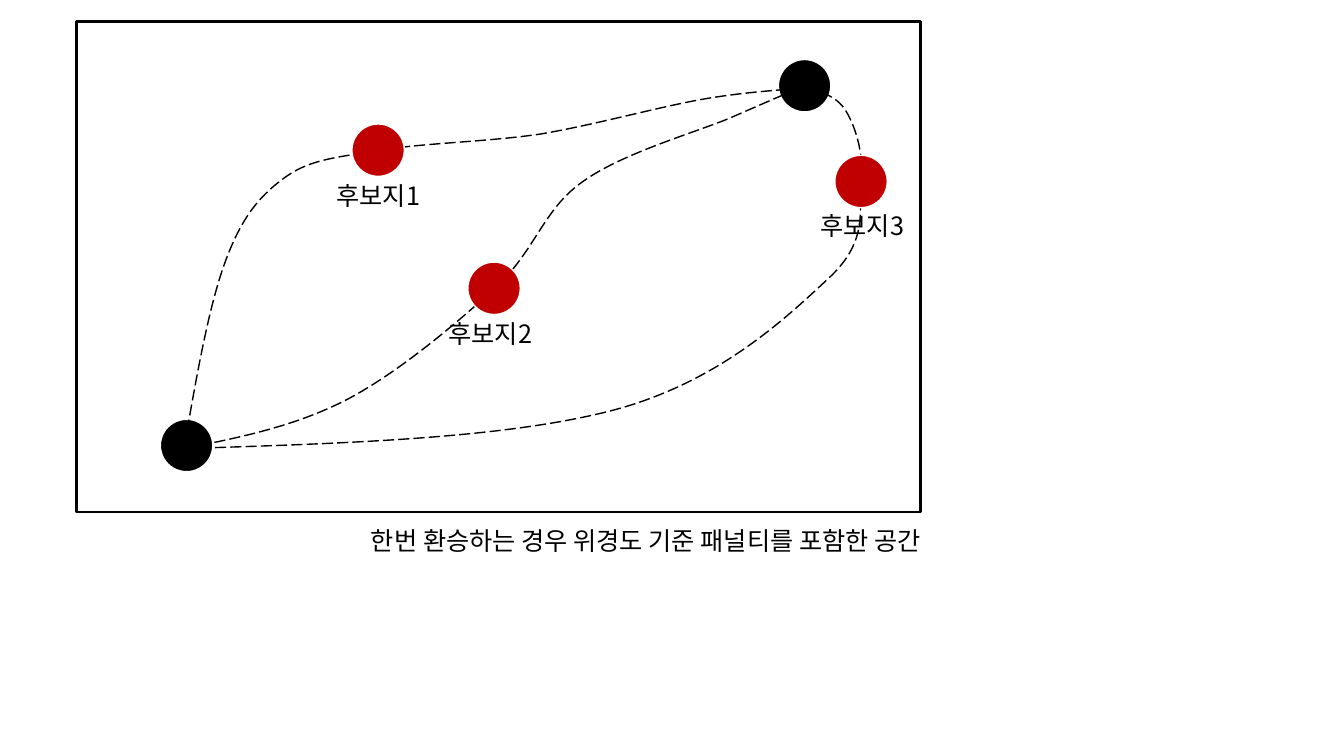
from dataclasses import dataclass

from lxml.etree import SubElement
from pptx import Presentation
from pptx.dml.color import RGBColor
from pptx.enum.dml import MSO_LINE_DASH_STYLE as Dash
from pptx.enum.shapes import MSO_SHAPE as Preset
from pptx.enum.text import MSO_AUTO_SIZE as AutoSize, PP_ALIGN as Align
from pptx.oxml.ns import qn
from pptx.shapes.autoshape import Shape
from pptx.slide import Slide
from pptx.util import Inches, Pt

FONT = "Noto Sans CJK KR"
BLACK, WHITE, RED = "000000", "FFFFFF", "C00000"
STOP_SIZE = 0.52

Point = tuple[float, float]


@dataclass(frozen=True)
class Candidate:
    """A transfer site: its label, its marker and the route through it.

    The route is a start point followed by three points per Bézier curve.
    """
    label: str
    label_at: Point
    marker_at: Point
    route: tuple[Point, ...]


ENDPOINTS: list[Point] = [(1.59, 4.16), (7.72, 0.59)]

CANDIDATES = [
    Candidate("후보지1", (3.24, 1.74), (3.49, 1.23), (
        (1.83, 4.42),
        (1.95, 3.73), (2.07, 3.05), (2.23, 2.61),
        (2.39, 2.17), (2.56, 1.96), (2.80, 1.78),
        (3.05, 1.59), (3.28, 1.57), (3.71, 1.50),
        (4.14, 1.42), (4.82, 1.41), (5.36, 1.33),
        (5.89, 1.24), (6.50, 1.07), (6.94, 0.99),
        (7.38, 0.91), (7.81, 0.89), (7.99, 0.87))),
    Candidate("후보지2", (4.35, 3.11), (4.64, 2.60), (
        (1.83, 4.45),
        (2.38, 4.34), (2.93, 4.23), (3.45, 3.96),
        (3.96, 3.69), (4.54, 3.20), (4.93, 2.84),
        (5.31, 2.48), (5.39, 2.08), (5.77, 1.81),
        (6.15, 1.53), (6.85, 1.33), (7.22, 1.18),
        (7.59, 1.02), (7.79, 0.93), (7.99, 0.85))),
    Candidate("후보지3", (8.04, 2.04), (8.28, 1.54), (
        (1.83, 4.45),
        (3.42, 4.40), (5.01, 4.35), (6.08, 4.07),
        (7.14, 3.79), (7.81, 3.14), (8.22, 2.76),
        (8.63, 2.38), (8.51, 2.07), (8.54, 1.79),
        (8.57, 1.51), (8.48, 1.25), (8.39, 1.10),
        (8.29, 0.94), (8.13, 0.91), (7.97, 0.87))),
]


def color(hex_code: str) -> RGBColor:
    return RGBColor.from_string(hex_code)


def style_line(shape: Shape, line: str, width: float) -> None:
    shape.shadow.inherit = False
    shape.line.color.rgb = color(line)
    shape.line.width = Pt(width)


def add_block(slide: Slide, preset: Preset, at: Point, size: Point,
              *, fill: str, line: str, width: float) -> None:
    block = slide.shapes.add_shape(preset, *map(Inches, at + size))
    block.fill.solid()
    block.fill.fore_color.rgb = color(fill)
    style_line(block, line, width)


def add_stop(slide: Slide, at: Point, fill: str) -> None:
    add_block(slide, Preset.OVAL, at, (STOP_SIZE, STOP_SIZE),
              fill=fill, line=WHITE, width=1)


def add_text(slide: Slide, text: str, at: Point, *, width: float,
             height: float = 0.4, size: float = 18, ink: str = BLACK,
             align: Align = Align.LEFT) -> None:
    frame = slide.shapes.add_textbox(
        *map(Inches, (*at, width, height))).text_frame
    frame.word_wrap = True
    frame.auto_size = AutoSize.SHAPE_TO_FIT_TEXT
    paragraph = frame.paragraphs[0]
    paragraph.alignment = align
    run = paragraph.add_run()
    run.text = text
    run.font.size = Pt(size)
    run.font.color.rgb = color(ink)
    run.font.name = FONT
    SubElement(run.font._element, qn("a:ea"), typeface=FONT)


def add_route(slide: Slide, points: tuple[Point, ...]) -> None:
    start, *rest = [(Inches(x), Inches(y)) for x, y in points]
    builder = slide.shapes.build_freeform(*start)
    builder.add_line_segments(rest, close=False)
    route = builder.convert_to_shape()
    route.fill.background()
    style_line(route, BLACK, 1)
    route.line.dash_style = Dash.LONG_DASH

    # Every three straight segments become one Bézier curve
    outline = route._element.find(".//" + qn("a:path"))
    segments = outline.findall(qn("a:lnTo"))
    for first in range(0, len(segments), 3):
        curve = SubElement(outline, qn("a:cubicBezTo"))
        for segment in segments[first:first + 3]:
            curve.append(segment[0])
            outline.remove(segment)


def main() -> None:
    deck = Presentation()
    deck.slide_width, deck.slide_height = Inches(13.33), Inches(7.5)
    slide = deck.slides.add_slide(deck.slide_layouts[6])

    # Space with its two endpoints
    add_block(slide, Preset.RECTANGLE, (0.76, 0.21), (8.37, 4.87),
              fill=WHITE, line=BLACK, width=2)
    for endpoint in ENDPOINTS:
        add_stop(slide, endpoint, BLACK)

    # Caption and candidate labels
    add_text(slide, "한번 환승하는 경우 위경도 기준 패널티를 포함한 공간",
             (1.83, 5.16), width=7.4, align=Align.RIGHT)
    for candidate in CANDIDATES:
        add_text(slide, candidate.label, candidate.label_at, width=1.15)

    # Routes through the candidates
    for candidate in CANDIDATES:
        add_route(slide, candidate.route)
        add_stop(slide, candidate.marker_at, RED)

    deck.save("out.pptx")


if __name__ == "__main__":
    main()
